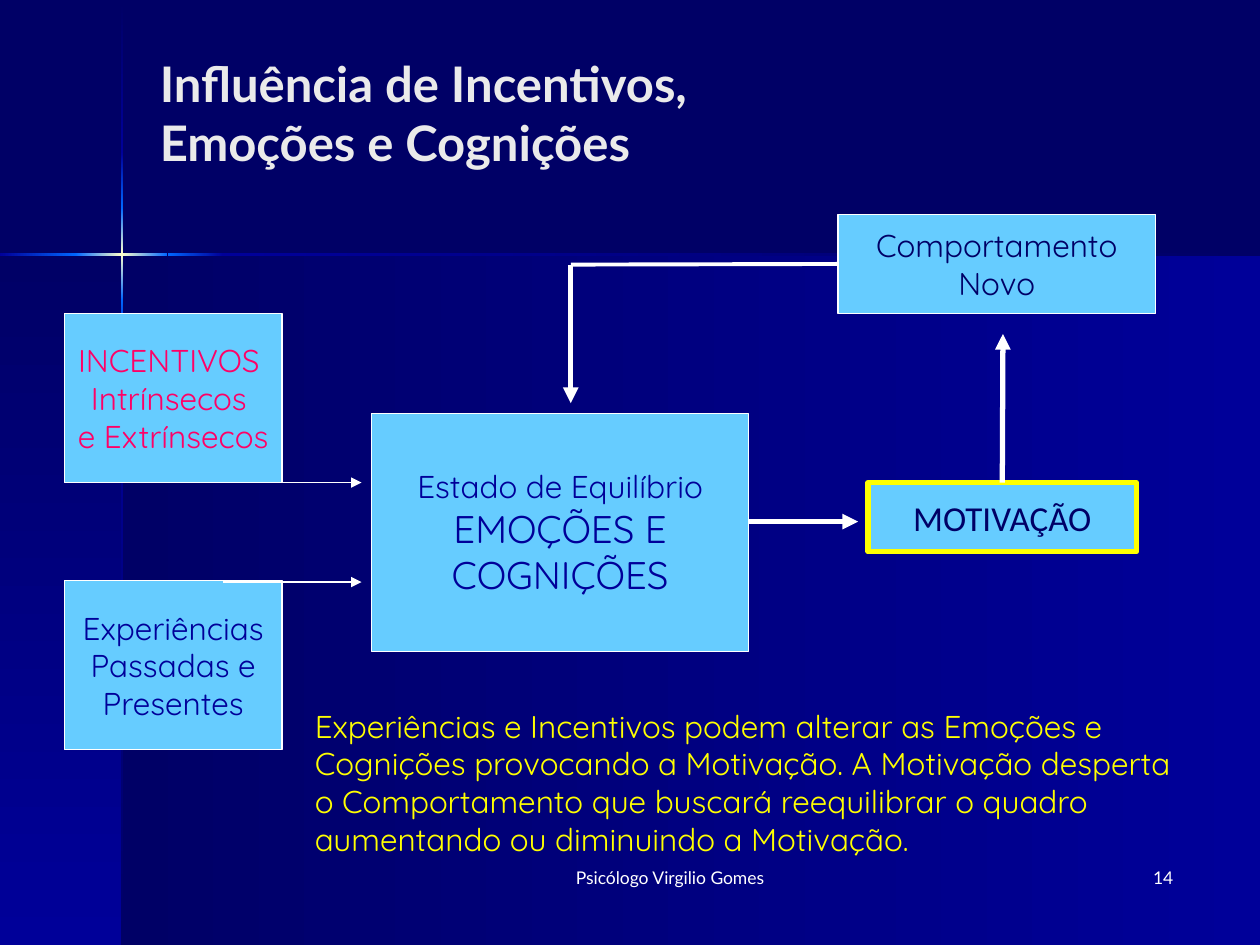
from collections import namedtuple
from dataclasses import dataclass

from lxml import etree
from pptx import Presentation
from pptx.dml.color import RGBColor
from pptx.enum.shapes import MSO_CONNECTOR, MSO_SHAPE
from pptx.enum.text import MSO_ANCHOR, MSO_AUTO_SIZE, PP_ALIGN
from pptx.oxml.ns import qn
from pptx.util import Inches, Pt

RECTANGLE = MSO_SHAPE.RECTANGLE
STRAIGHT = MSO_CONNECTOR.STRAIGHT
TOP, MIDDLE = MSO_ANCHOR.TOP, MSO_ANCHOR.MIDDLE
LEFT, CENTER, RIGHT = PP_ALIGN.LEFT, PP_ALIGN.CENTER, PP_ALIGN.RIGHT
FIT_SHAPE = MSO_AUTO_SIZE.SHAPE_TO_FIT_TEXT
TOP_SIDE, LEFT_SIDE = 0, 1

Box = namedtuple("Box", "left top width height")


@dataclass(frozen=True)
class Theme:
    """Colours, fonts, type sizes and line widths of the slide."""
    night: str = "000066"
    navy: str = "000099"
    blue: str = "0066FF"
    glow: str = "FFFFCC"
    sky: str = "66CCFF"
    white: str = "FFFFFF"
    pale: str = "EAEAEA"
    yellow: str = "FFFF00"
    pink: str = "FF0066"
    heading: str = "Lato"
    body: str = "Quicksand"
    accent: str = "Calibri"
    title_size: float = 28
    large_size: float = 22
    accent_size: float = 20
    body_size: float = 18
    footer_size: float = 10
    thin: float = 0.75
    medium: float = 2.25
    thick: float = 3


THEME = Theme()


def color(value):
    """Turn a hex value into a colour."""
    return RGBColor.from_string(value)


def inside(box, left, top, width, height):
    """Return a box offset from the corner of another."""
    return Box(box.left + left, box.top + top, width, height)


def write(shape, lines, name, sizes, tone, align, anchor=TOP, wrap=True):
    """Write one paragraph for each line, with its size."""
    frame = shape.text_frame
    frame.word_wrap = wrap
    frame.vertical_anchor = anchor
    for index, (line, size) in enumerate(zip(lines, sizes)):
        para = frame.add_paragraph() if index else frame.paragraphs[0]
        para.text = line
        para.alignment = align
        for span in para.runs:
            for key, value in {"name": name, "size": Pt(size)}.items():
                setattr(span.font, key, value)
            span.font.color.rgb = color(tone)


def add_text(page, box, text, name, size, tone, align=LEFT, anchor=TOP):
    """Add a wrapped text box."""
    shape = page.shapes.add_textbox(*map(Inches, box))
    write(shape, [text], name, [size], tone, align, anchor)
    return shape


def add_gradient(page, box, tones, angle):
    """Add a borderless band with evenly spaced gradient stops."""
    band = page.shapes.add_shape(RECTANGLE, *map(Inches, box))
    band.shadow.inherit = False
    band.line.fill.background()
    band.fill.gradient()
    band.fill.gradient_angle = angle
    stops = band._element.spPr.find(".//" + qn("a:gsLst"))
    for stop in list(stops):
        stops.remove(stop)
    for index, tone in enumerate(tones):
        position = str(index * 100000 // (len(tones) - 1))
        stop = etree.SubElement(stops, qn("a:gs"), pos=position)
        etree.SubElement(stop, qn("a:srgbClr"), val=tone)


def add_backdrop(page, box):
    """Draw the two panels and the glowing cross between them."""
    across, down = 0, 270
    cross_x, cross_y, beam = 0.97, 2.02, 0.02
    night, navy, blue, glow = THEME.night, THEME.navy, THEME.blue, THEME.glow
    panel_height = box.height - cross_y
    panels = [
        (cross_x, box.width - cross_x, across),
        (0, cross_x, down),
    ]
    for left, width, angle in panels:
        panel = inside(box, left, cross_y, width, panel_height)
        add_gradient(page, panel, (night, navy), angle)
    vertical = [
        (0.01, 1.21, (night, navy)),
        (2.82, box.height, (navy, night)),
        (2.38, 2.82, (blue, navy)),
        (1.21, 1.65, (navy, blue)),
        (1.65, 2.38, (blue, glow, blue)),
    ]
    for start, end, tones in vertical:
        ray = inside(box, cross_x - beam / 2, start, beam, end - start)
        add_gradient(page, ray, tones, down)
    horizontal = [
        (1.77, box.width, (navy, night)),
        (0, 0.61, (navy, blue)),
        (1.33, 1.77, (blue, navy)),
        (0.6, 1.33, (blue, glow, blue)),
    ]
    for start, end, tones in horizontal:
        ray = inside(box, start, cross_y - beam / 2, end - start, beam)
        add_gradient(page, ray, tones, across)


def add_footer(page, box):
    """Place the author and the page number."""
    author = inside(box, 0, 0, 3.17, box.height)
    number = inside(box, box.width - 2.08, 0, 2.08, box.height)
    style = (THEME.heading, THEME.footer_size, THEME.white)
    add_text(page, author, "Psicólogo Virgilio Gomes ", *style, CENTER)
    add_text(page, number, "14", *style, RIGHT)


def add_title(page, box):
    """Place the two-line title."""
    text = "Influência de Incentivos,\vEmoções e Cognições"
    title = add_text(page, box, text, THEME.heading, THEME.title_size,
                     THEME.pale, anchor=MIDDLE)
    for span in title.text_frame.paragraphs[0].runs:
        span.font.bold = True


def add_summary(page, box):
    """Place the explanation below the diagram."""
    text = ("Experiências e Incentivos podem alterar as Emoções e Cognições "
            "provocando a Motivação. A Motivação desperta o Comportamento que "
            "buscará reequilibrar o quadro aumentando ou diminuindo a Motivação.")
    summary = add_text(page, box, text, THEME.body, THEME.body_size, THEME.yellow)
    summary.text_frame.auto_size = FIT_SHAPE


def add_node(page, box, lines, tone, name=THEME.body, sizes=None,
             edge=THEME.white, width=THEME.thin):
    """Add a labelled rectangle of the diagram."""
    node = page.shapes.add_shape(RECTANGLE, *map(Inches, box))
    node.shadow.inherit = False
    node.fill.solid()
    node.fill.fore_color.rgb = color(THEME.sky)
    node.line.color.rgb = color(edge)
    node.line.width = Pt(width)
    sizes = sizes or [THEME.body_size] * len(lines)
    write(node, lines, name, sizes, tone, CENTER, MIDDLE, wrap=False)
    return node


def add_link(page, box, start, end, width, arrow=True):
    """Add a straight line, with an arrowhead at its end if wanted."""
    points = (box.left + start[0], box.top + start[1],
              box.left + end[0], box.top + end[1])
    link = page.shapes.add_connector(STRAIGHT, *map(Inches, points))
    link.line.color.rgb = color(THEME.white)
    link.line.width = Pt(width)
    if arrow:
        outline = link.line._get_or_add_ln()
        etree.SubElement(outline, qn("a:tailEnd"), type="triangle")
    etree.SubElement(link._element.spPr, qn("a:effectLst"))
    return link


def add_diagram(page, box):
    """Draw the motivation cycle with its nodes and links."""
    source_size = (1.73, 1.34)
    motivation = add_node(page, inside(box, 6.38, 2.13, 2.13, 0.55), ["MOTIVAÇÃO"],
                          THEME.night, THEME.accent, [THEME.accent_size],
                          THEME.yellow, THEME.thick)
    add_node(page, inside(box, 0, 2.91, *source_size),
             ["Experiências", "Passadas e", "Presentes"], THEME.navy)
    behavior = add_node(page, inside(box, 6.14, 0, 2.52, 0.79),
                        ["Comportamento", "Novo"], THEME.night)
    add_node(page, inside(box, 2.44, 1.58, 2.99, 1.89),
             ["Estado de Equilíbrio", "EMOÇÕES E", "COGNIÇÕES"], THEME.navy,
             sizes=[THEME.body_size, THEME.large_size, THEME.large_size])
    add_link(page, box, (1.02, 2.13), (2.36, 2.13), THEME.thin)
    add_link(page, box, (1.26, 2.92), (2.36, 2.92), THEME.thin)
    add_link(page, box, (5.43, 2.44), (6.3, 2.44), THEME.thick)
    rise = add_link(page, box, (7.45, 2.13), (7.45, 0.95), THEME.thick)
    rise.begin_connect(motivation, TOP_SIDE)
    add_link(page, box, (4.02, 0.4), (4.02, 1.5), THEME.thick)
    feedback = add_link(page, box, (4.02, 0.4), (6.14, 0.4), THEME.medium, False)
    feedback.end_connect(behavior, LEFT_SIDE)
    add_node(page, inside(box, 0, 0.79, *source_size),
             ["INCENTIVOS ", "Intrínsecos ", "e Extrínsecos"], THEME.pink)


def main():
    """Build the slide and save it."""
    deck = Presentation()
    deck.slide_width, deck.slide_height = Inches(10), Inches(7.5)
    page = deck.slides.add_slide(deck.slide_layouts[6])
    page.background.fill.solid()
    page.background.fill.fore_color.rgb = color(THEME.night)
    add_backdrop(page, Box(0, 0, 10, 7.5))
    add_footer(page, Box(3.75, 6.83, 5.66, 0.5))
    add_title(page, Box(1.17, 0.33, 5.8, 1.13))
    add_summary(page, Box(2.4, 5.56, 7.17, 1.3))
    add_diagram(page, Box(0.51, 1.7, 8.66, 4.25))
    deck.save("out.pptx")


if __name__ == "__main__":
    main()
